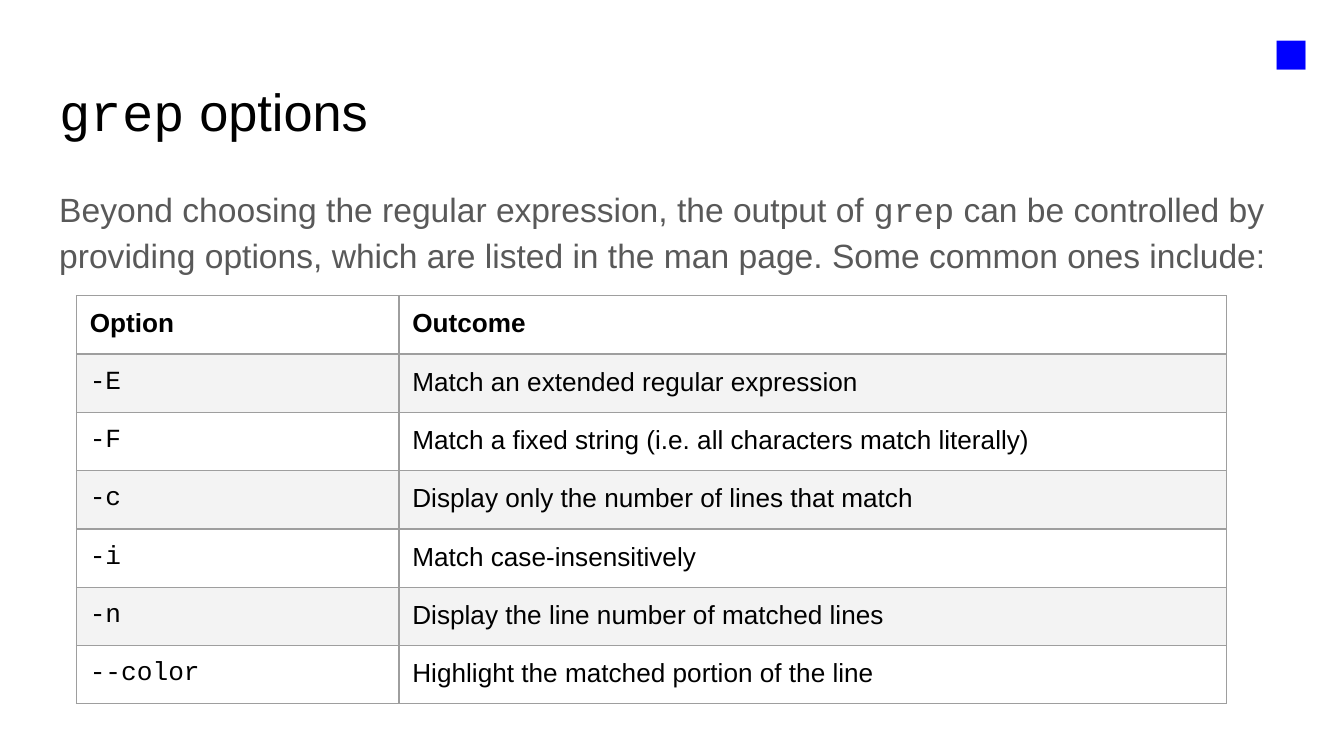
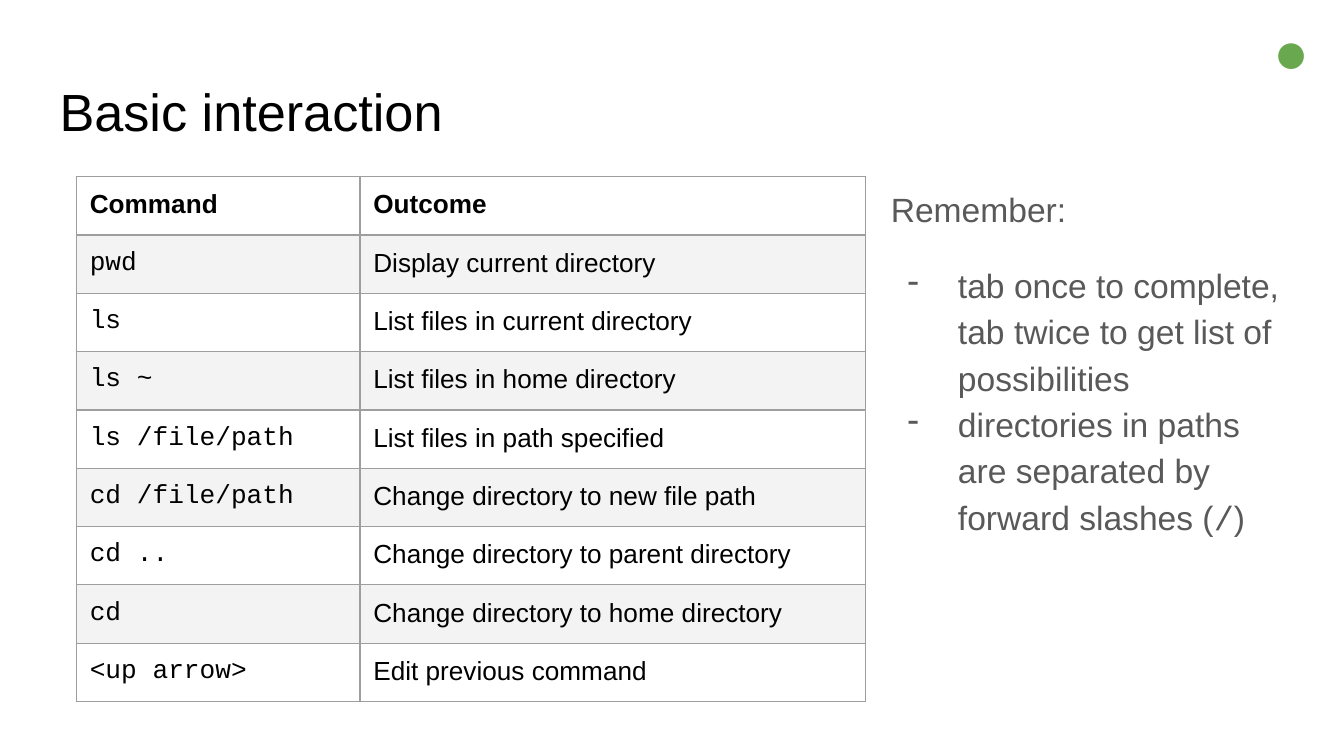
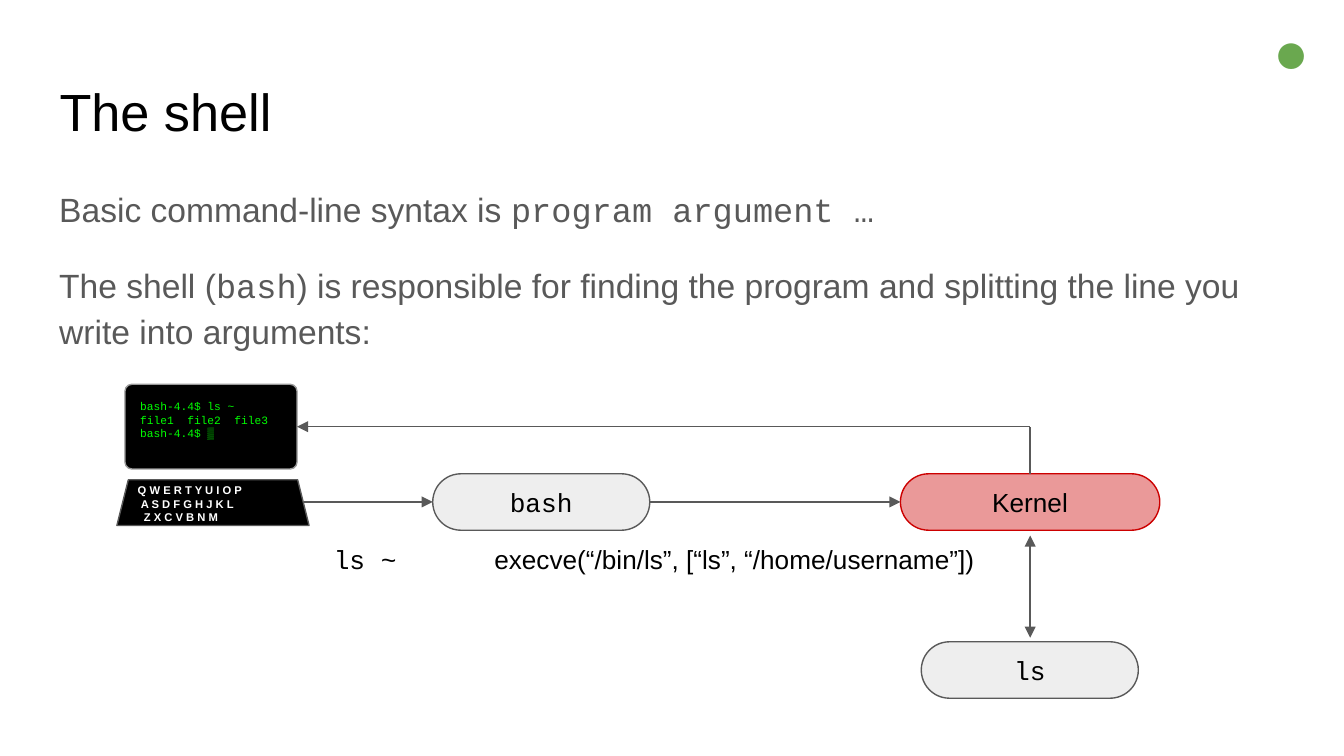
from dataclasses import dataclass

from lxml.etree import SubElement
from pptx import Presentation
from pptx.dml.color import RGBColor
from pptx.enum.shapes import MSO_CONNECTOR as Line, MSO_SHAPE as Shape
from pptx.enum.text import MSO_ANCHOR as Anchor, PP_ALIGN as Align
from pptx.oxml.ns import qn
from pptx.util import Inches, Pt


@dataclass(frozen=True)
class Theme:
    sans: str = "Arial"
    mono: str = "Courier New"
    ink: str = "000000"
    paper: str = "FFFFFF"
    body: str = "595959"
    stripe: str = "F3F3F3"
    rule: str = "9E9E9E"
    node: str = "EEEEEE"
    core: str = "EA9999"
    core_edge: str = "CC0000"
    screen_edge: str = "999999"
    phosphor: str = "00FF00"
    square: str = "0000FF"
    circle: str = "6AA84F"
    title_size: int = 28
    body_size: int = 18
    label_size: int = 14
    device_size: int = 6
    marker_size: int = 32
    line_width: float = 0.75
    leading: float = 1.15
    gap: int = 16


THEME = Theme()
COLUMNS, ROWS = 100, 56.25  # grid over the whole slide
CELL = Inches(0.1)


def cells(count):
    return round(count * CELL)


@dataclass(frozen=True)
class Box:
    """A rectangle measured in columns and rows of the slide grid."""
    left: float
    top: float
    width: float
    height: float

    def inside(self, left, top, width, height):
        return Box(self.left + left, self.top + top, width, height)

    @property
    def right(self):
        return self.left + self.width

    @property
    def bottom(self):
        return self.top + self.height

    @property
    def center(self):
        return self.left + self.width / 2

    @property
    def middle(self):
        return self.top + self.height / 2

    @property
    def lengths(self):
        return [cells(n) for n in (self.left, self.top, self.width, self.height)]


TITLE = Box(3.45, 4.9, 93.2, 6.3)
BODY = Box(3.42, 12.6, 93.2, 37.4)
ASIDE = Box(65.3, 12.6, 31.3, 37.4)
MARKER = Box(92.15, 0, 7.9, 7.4)
DIAGRAM = Box(8.7, 28.6, 77.6, 23.3)
TABLE_LEFT = 5.68
TABLE_ROW = 4.2


def rgb(color):
    return RGBColor.from_string(color)


def write(para, content, size=THEME.label_size, color=THEME.ink, bold=False,
          align=Align.LEFT, leading=None, before=0, after=0, indent=0, bullet=None):
    """Fill a paragraph; words between backticks are set in the mono font."""
    para.alignment = align
    para.line_spacing = leading
    para.space_before, para.space_after = Pt(before), Pt(after)
    for number, words in enumerate(content.split("`")):
        if words:
            span = para.add_run()
            span.text = words
            span.font.name = THEME.mono if number % 2 else THEME.sans
            span.font.size, span.font.bold = Pt(size), bold
            span.font.color.rgb = rgb(color)
    props = para._p.get_or_add_pPr()
    props.set("marL", str(cells(indent)))
    if bullet:
        props.set("indent", str(-cells(3.75)))
        SubElement(SubElement(props, qn("a:buClr")), qn("a:srgbClr"), val=color)
        SubElement(props, qn("a:buSzPts"), val=str(size * 100))
        SubElement(props, qn("a:buChar"), char=bullet)


def set_margins(holder):
    """Pad a text frame or a table cell alike on all sides."""
    holder.margin_left = holder.margin_right = CELL
    holder.margin_top = holder.margin_bottom = CELL


def fill_paras(frame, paras, **style):
    """Write paragraphs, each a string or a (string, own format) pair."""
    for number, item in enumerate(paras):
        content, own = (item, {}) if isinstance(item, str) else item
        para = frame.add_paragraph() if number else frame.paragraphs[0]
        write(para, content, **{**style, **own})


def fill_frame(frame, paras, anchor=Anchor.TOP, **style):
    frame.word_wrap = True
    frame.vertical_anchor = anchor
    set_margins(frame)
    fill_paras(frame, paras, **style)


def add_text(page, box, *paras, **style):
    fill_frame(page.shapes.add_textbox(*box.lengths).text_frame, paras, **style)


def add_body(page, box, *paras):
    add_text(page, box, *paras, size=THEME.body_size, color=THEME.body,
             leading=THEME.leading)


def add_node(page, box, *paras, kind=Shape.ROUNDED_RECTANGLE, corner=0.5,
             fill=THEME.node, edge=THEME.body, anchor=Anchor.MIDDLE,
             align=Align.CENTER, **style):
    node = page.shapes.add_shape(kind, *box.lengths)
    node.shadow.inherit = False
    node.adjustments[0] = corner
    node.fill.solid()
    node.fill.fore_color.rgb = rgb(fill)
    node.line.color.rgb = rgb(edge)
    node.line.width = Pt(THEME.line_width)
    fill_frame(node.text_frame, paras, anchor, align=align, **style)


def add_arrow(page, start, end, *tips):
    """Draw a line; tips holds headEnd for the start and tailEnd for the end."""
    line = page.shapes.add_connector(Line.STRAIGHT, *map(cells, start + end))
    line.line.color.rgb = rgb(THEME.body)
    line.line.width = Pt(THEME.line_width)
    for tip in tips:
        SubElement(line.line._get_or_add_ln(), qn(f"a:{tip}"), type="triangle")
    SubElement(line._element.spPr, qn("a:effectLst"))


def border_cell(cell):
    props = cell._tc.get_or_add_tcPr()
    for number, side in enumerate(("lnL", "lnR", "lnT", "lnB")):
        edge = props.makeelement(qn(f"a:{side}"), {"w": str(Pt(THEME.line_width))})
        fill = SubElement(edge, qn("a:solidFill"))
        SubElement(fill, qn("a:srgbClr"), val=THEME.rule)
        props.insert(number, edge)


def add_striped_table(page, top, widths, rows):
    box = Box(TABLE_LEFT, top, sum(widths), TABLE_ROW * len(rows))
    table = page.shapes.add_table(len(rows), len(widths), *box.lengths).table
    table.first_row = table.horz_banding = False
    for column, width in zip(table.columns, widths):
        column.width = cells(width)
    for number, row in enumerate(rows):
        table.rows[number].height = cells(TABLE_ROW)
        for cell, content in zip(table.rows[number].cells, row):
            cell.fill.solid()
            cell.fill.fore_color.rgb = rgb(THEME.stripe if number % 2 else THEME.paper)
            border_cell(cell)
            set_margins(cell)
            fill_paras(cell.text_frame, [content], bold=number == 0)


def add_page(deck, title, marker, color):
    page = deck.slides.add_slide(deck.slide_layouts[6])
    add_text(page, TITLE, title, size=THEME.title_size)
    add_text(page, MARKER, marker, size=THEME.marker_size, color=color,
             align=Align.CENTER)
    return page


def add_shell_diagram(page, box):
    screen = box.inside(0.6, 0, 12.8, 6.3)
    keyboard = box.inside(0, 7.1, 14.3, 3.4)
    bash = box.inside(23.5, 6.65, 16.15, 4.2)
    kernel = box.inside(58.3, 6.65, 19.3, 4.2)
    program = box.inside(59.85, 19.15, 16.15, 4.2)

    device = dict(fill=THEME.ink, align=Align.LEFT, size=THEME.device_size)
    add_node(page, screen, "`bash-4.4$ ls ~`", "`file1  file2  file3`", "`bash-4.4$ ▒`",
             corner=0.08, edge=THEME.screen_edge, anchor=Anchor.TOP,
             color=THEME.phosphor, **device)
    keys = ("Q W E R T Y U I O P", "A S D F G H J K L", "Z X C V B N M")
    add_node(page, keyboard,
             *[(row, {"indent": 0.23 * step}) for step, row in enumerate(keys)],
             kind=Shape.TRAPEZOID, corner=0.25, color=THEME.paper, bold=True, **device)
    add_node(page, bash, "`bash`")
    add_node(page, kernel, "Kernel", fill=THEME.core, edge=THEME.core_edge)
    add_node(page, program, "`ls`")

    add_text(page, box.inside(15.15, 10.85, 7.1, 4.6), "`ls ~`")
    add_text(page, box.inside(27.1, 10.85, 41.6, 4.6),
             "execve(“/bin/ls”, [“ls”, “/home/username”])")

    corner = (kernel.center, screen.middle)
    add_arrow(page, (keyboard.right - 0.4, bash.middle), (bash.left, bash.middle), "tailEnd")
    add_arrow(page, (bash.right, bash.middle), (kernel.left, bash.middle), "tailEnd")
    add_arrow(page, (kernel.center, kernel.bottom + 0.4),
              (kernel.center, program.top - 0.3), "headEnd", "tailEnd")
    add_arrow(page, (kernel.center, kernel.top), corner)
    add_arrow(page, (screen.right, screen.middle), corner, "headEnd")


def build_grep_options(deck):
    page = add_page(deck, "`grep` options", "■", THEME.square)
    add_body(page, BODY,
             "Beyond choosing the regular expression, the output of `grep` can be "
             "controlled by providing options, which are listed in the man page. "
             "Some common ones include:")
    add_striped_table(page, 22, (24, 61.6), [
        ("Option", "Outcome"),
        ("`-E`", "Match an extended regular expression"),
        ("`-F`", "Match a fixed string (i.e. all characters match literally)"),
        ("`-c`", "Display only the number of lines that match"),
        ("`-i`", "Match case-insensitively"),
        ("`-n`", "Display the line number of matched lines"),
        ("`--color`", "Highlight the matched portion of the line"),
    ])


def build_basic_interaction(deck):
    page = add_page(deck, "Basic interaction", "●", THEME.circle)
    item = dict(indent=5, bullet="-")
    add_body(page, ASIDE, "Remember:",
             ("tab once to complete, tab twice to get list of possibilities",
              dict(item, before=THEME.gap)),
             ("directories in paths are separated by forward slashes (`/`)", item))
    add_striped_table(page, 13.15, (21.1, 37.6), [
        ("Command", "Outcome"),
        ("`pwd`", "Display current directory"),
        ("`ls`", "List files in current directory"),
        ("`ls ~`", "List files in home directory"),
        ("`ls /file/path`", "List files in path specified"),
        ("`cd /file/path`", "Change directory to new file path"),
        ("`cd ..`", "Change directory to parent directory"),
        ("`cd`", "Change directory to home directory"),
        ("`<up arrow>`", "Edit previous command"),
    ])


def build_shell(deck):
    page = add_page(deck, "The shell", "●", THEME.circle)
    add_body(page, BODY, "Basic command-line syntax is `program argument …`",
             ("The shell (`bash`) is responsible for finding the program and splitting "
              "the line you write into arguments:",
              dict(before=THEME.gap, after=THEME.gap)))
    add_shell_diagram(page, DIAGRAM)


def main():
    deck = Presentation()
    deck.slide_width, deck.slide_height = cells(COLUMNS), cells(ROWS)
    for build in (build_grep_options, build_basic_interaction, build_shell):
        build(deck)
    deck.save("out.pptx")


if __name__ == "__main__":
    main()
